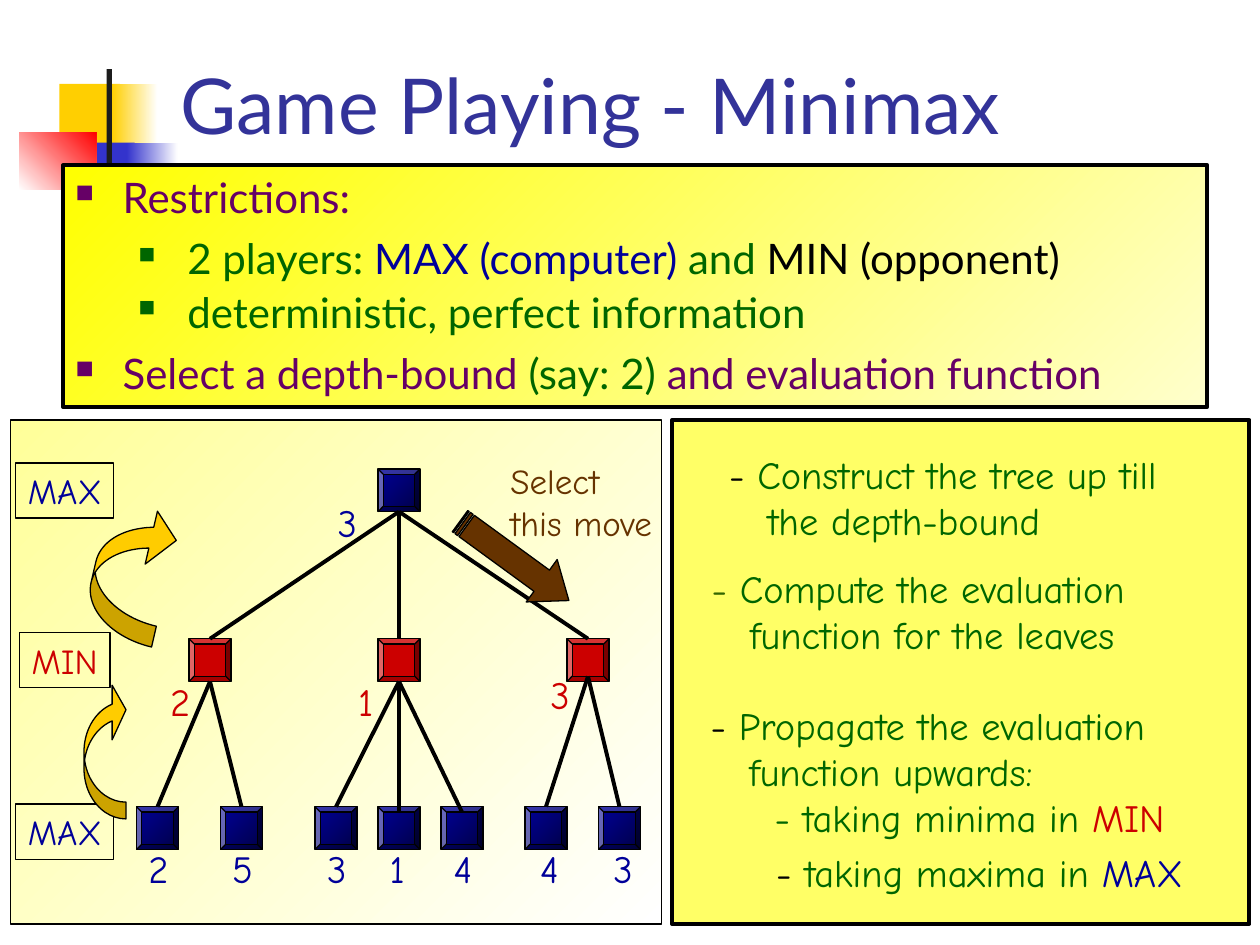
from lxml.etree import SubElement
from pptx import Presentation
from pptx.dml.color import RGBColor
from pptx.enum.shapes import MSO_CONNECTOR as Link, MSO_SHAPE as Shape
from pptx.enum.text import MSO_ANCHOR as Anchor, PP_ALIGN as Align
from pptx.oxml.ns import qn
from pptx.util import Pt

BLACK = RGBColor(0x00, 0x00, 0x00)
WHITE = RGBColor(0xFF, 0xFF, 0xFF)
INK = RGBColor(0x1C, 0x1C, 0x1C)
GOLD = RGBColor(0xFF, 0xCF, 0x01)
INDIGO = RGBColor(0x33, 0x33, 0xCC)
TITLE_BLUE = RGBColor(0x33, 0x33, 0x99)
BRIGHT_RED = RGBColor(0xFF, 0x00, 0x00)
YELLOW = RGBColor(0xFF, 0xFF, 0x00)
CREAM = RGBColor(0xFF, 0xFF, 0xCC)
PALE_YELLOW = RGBColor(0xFF, 0xFF, 0x99)
LEMON = RGBColor(0xFF, 0xFF, 0x66)
AMBER = RGBColor(0xFF, 0xCC, 0x00)
BROWN = RGBColor(0x66, 0x33, 0x00)
PURPLE = RGBColor(0x66, 0x00, 0x66)
GREEN = RGBColor(0x00, 0x66, 0x00)
OLIVE = RGBColor(0x33, 0x66, 0x00)
MAX_BLUE = RGBColor(0x00, 0x00, 0x99)
DARK_BLUE = RGBColor(0x00, 0x00, 0x47)
MIN_RED = RGBColor(0xCC, 0x00, 0x00)

SANS, HAND = "Lato", "Comic Neue"
NODE_WIDTH, NODE_HEIGHT = 24, 24.4
ROOT_LEFT, ROOT_TOP, MIN_TOP, LEAF_TOP = 216, 268, 365, 461
MAX_FILL = (MAX_BLUE, DARK_BLUE, 45)

# Bullet levels: left margin, hanging indent, size of the mark in percent
OUTER = {"level": 0, "margin": 27, "hang": 27, "mark": 60, "color": PURPLE}
INNER = {"level": 1, "margin": 64, "hang": 28, "mark": 55, "color": GREEN}

DECORATION = [
    ((34, 48, 34.5, 37.5), GOLD),
    ((64, 48, 26, 37.5), (GOLD, WHITE, 0)),
    ((44, 81.5, 33, 37.5), INDIGO),
    ((72.5, 81.5, 29, 37.5), (INDIGO, WHITE, 0)),
    ((11, 75.5, 44, 33), (WHITE, BRIGHT_RED, 315)),
    ((61, 39.5, 3, 83), INK),
]

# Each MIN node: left, value, value centre, value top, y where its lines start,
# leaves as (left, value, shift of the value, y where the line ends)
MIN_NODES = [
    (108, "2", 103, 384, 389.4,
     [(78, "2", 0.5, LEAF_TOP), (126, "5", 0.5, LEAF_TOP)]),
    (216, "1", 209, 384, 389.4,
     [(180, "3", 0.5, LEAF_TOP), (216, "1", -1, 464), (252, "4", 0.5, 464)]),
    (324, "3", 320, 380, 386.5,
     [(300, "4", 2, LEAF_TOP), (342, "3", 2, LEAF_TOP)]),
]

NOTES = [
    ((409.5, 254, 259, 60), [
        (0, [("- ", BLACK), ("Construct the tree up till", GREEN)]),
        (22, [("the depth-bound", GREEN)])]),
    ((399.5, 319.5, 258.5, 60), [
        (0, [("- ", OLIVE), ("Compute the evaluation", GREEN)]),
        (22, [("function for the leaves", GREEN)])]),
    ((399, 397.5, 274, 86.5), [
        (0, [("- ", BLACK), ("Propagate the evaluation", GREEN)]),
        (22, [("function upwards:", GREEN)]),
        (36.5, [("- taking minima in ", GREEN), ("MIN", MIN_RED)])]),
    ((436.5, 481.5, 247, 34), [
        (0, [("- ", BLACK), ("taking maxima in ", GREEN), ("MAX", MAX_BLUE)])]),
]


class Painter:
    """Holds the current slide and the shared style; lengths are in points."""

    def __init__(self, page, line_color=BLACK):
        self.page = page
        self.line_color = line_color

    def paint(self, fill, look):
        """Apply None, one colour, or a (start, end, clockwise angle) gradient."""
        if look is None:
            fill.background()
        elif isinstance(look, RGBColor):
            fill.solid()
            fill.fore_color.rgb = look
        else:
            fill.gradient()
            fill.gradient_angle = -look[2] % 360
            for stop, color in zip(fill.gradient_stops, look):
                stop.color.rgb = color

    def shape(self, place, look, line=0, kind=Shape.RECTANGLE, adjust=(),
              turn=0, flip=False):
        box = self.page.shapes.add_shape(kind, *map(Pt, place))
        box.shadow.inherit = False
        self.paint(box.fill, look)
        if line:
            box.line.color.rgb = self.line_color
            box.line.width = Pt(line)
        else:
            box.line.fill.background()
        for index, value in enumerate(adjust):
            box.adjustments[index] = value
        box.rotation = turn
        if flip:
            box._element.spPr.xfrm.set("flipV", "1")
        return box

    def node(self, left, top, look):
        self.shape((left, top, NODE_WIDTH, NODE_HEIGHT), look, 0.75,
                   Shape.BEVEL, [0.125])

    def line(self, *ends):
        link = self.page.shapes.add_connector(Link.STRAIGHT, *map(Pt, ends))
        link.line.color.rgb = self.line_color
        link.line.width = Pt(2.25)
        SubElement(link._element.spPr, qn("a:effectLst"))

    def text_box(self, place, wrap=False):
        box = self.page.shapes.add_textbox(*map(Pt, place))
        box.text_frame.word_wrap = wrap
        return box

    def spans(self, para, parts, size, font):
        for text, color in parts:
            span = para.add_run()
            span.text = text
            for name, value in {"name": font, "size": Pt(size)}.items():
                setattr(span.font, name, value)
            span.font.color.rgb = color

    def paragraphs(self, box, rows, size, font=HAND, align=Align.LEFT):
        """Write rows of (left margin or bullet level, spans)."""
        frame = box.text_frame
        for index, (style, parts) in enumerate(rows):
            para = frame.add_paragraph() if index else frame.paragraphs[0]
            para.alignment = align
            if isinstance(style, dict):
                self.bullet(para, style)
                if index:
                    para.space_before = Pt(6)
            elif style:
                para._p.get_or_add_pPr().set("marL", str(Pt(style)))
            self.spans(para, parts, size, font)

    def bullet(self, para, style):
        para.level = style["level"]
        props = para._p.get_or_add_pPr()
        props.set("marL", str(Pt(style["margin"])))
        props.set("indent", str(-Pt(style["hang"])))
        color = SubElement(props, qn("a:buClr"))
        SubElement(color, qn("a:srgbClr"), val=str(style["color"]))
        SubElement(props, qn("a:buSzPct"), val=str(style["mark"] * 1000))
        SubElement(props, qn("a:buChar"), char="■")

    def value(self, center, top, text, color):
        box = self.text_box((center - 13, top, 26, 34))
        self.paragraphs(box, [(0, [(text, color)])], 22, align=Align.CENTER)

    def player(self, place, name, color):
        box = self.shape(place, None, 0.75)
        box.text_frame.word_wrap = False
        self.paragraphs(box, [(0, [(name, color)])], 20, align=Align.CENTER)

    def title(self, text):
        box = self.page.shapes.title
        places = dict(zip(("left", "top", "width", "height"), (96, 17.5, 558, 72)))
        for name, value in places.items():
            setattr(box, name, Pt(value))
        box.text_frame.vertical_anchor = Anchor.BOTTOM
        self.paragraphs(box, [(0, [(text, TITLE_BLUE)])], 44, SANS)


def draw_restrictions(painter):
    panel = painter.shape((36, 94.5, 654, 138), (YELLOW, CREAM, 45), 2.25)
    panel.text_frame.vertical_anchor = Anchor.TOP
    painter.paragraphs(panel, [
        (OUTER, [("Restrictions:", PURPLE)]),
        (INNER, [("2 players: ", GREEN), ("MAX (computer) ", MAX_BLUE),
                 ("and", GREEN), (" MIN (opponent)", BLACK)]),
    ], 24, SANS)
    painter.paragraphs(painter.text_box((36, 160, 654, 72), wrap=True), [
        (INNER, [("deterministic, perfect information", GREEN)]),
        (OUTER, [("Select a depth-bound ", PURPLE), ("(say: 2)", GREEN),
                 (" and evaluation function", PURPLE)]),
    ], 24, SANS)


def draw_tree(painter):
    half = NODE_WIDTH / 2
    painter.shape((6, 240, 372, 288), (PALE_YELLOW, WHITE, 45), 0.75)
    painter.player((9, 264.5, 56, 31.5), "MAX", MAX_BLUE)
    painter.player((11, 361.5, 52, 31.5), "MIN", MIN_RED)
    painter.player((9, 459.5, 56, 31.5), "MAX", MAX_BLUE)
    painter.node(ROOT_LEFT, ROOT_TOP, MAX_FILL)
    painter.value(198.5, 281.5, "3", MAX_BLUE)
    for left, text, center, top, start, leaves in MIN_NODES:
        painter.node(left, MIN_TOP, MIN_RED)
        painter.line(ROOT_LEFT + half, ROOT_TOP + NODE_HEIGHT, left + half, MIN_TOP)
        painter.value(center, top, text, MIN_RED)
        for leaf, leaf_text, shift, end in leaves:
            painter.node(leaf, LEAF_TOP, MAX_FILL)
            painter.line(left + half, start, leaf + half, end)
            painter.value(leaf + half + shift, 479.5, leaf_text, MAX_BLUE)
    painter.shape((48, 390, 24, 78), AMBER, 0.75, Shape.CURVED_RIGHT_ARROW,
                  [0.4, 1.3, 0.33], flip=True)
    painter.shape((54, 288, 42, 78), AMBER, 0.75, Shape.CURVED_RIGHT_ARROW,
                  [0.29, 0.74, 0.34], turn=13.1, flip=True)
    painter.shape((255.5, 305.5, 77, 30), BROWN, 0.75, Shape.STRIPED_RIGHT_ARROW,
                  [0.5, 0.64], turn=36.1)
    painter.paragraphs(painter.text_box((284.5, 259, 96, 55.5)), [
        (0, [("Select", BROWN)]), (0, [("this move", BROWN)])], 20)


def main():
    deck = Presentation()
    deck.slide_width, deck.slide_height = Pt(720), Pt(540)
    painter = Painter(deck.slides.add_slide(deck.slide_layouts[5]))
    for place, look in DECORATION:
        painter.shape(place, look)
    painter.title("Game Playing - Minimax")
    draw_restrictions(painter)
    draw_tree(painter)
    painter.shape((384, 240, 330, 288), LEMON, 2.25)
    for place, rows in NOTES:
        painter.paragraphs(painter.text_box(place), rows, 22)
    deck.save("out.pptx")


if __name__ == "__main__":
    main()
